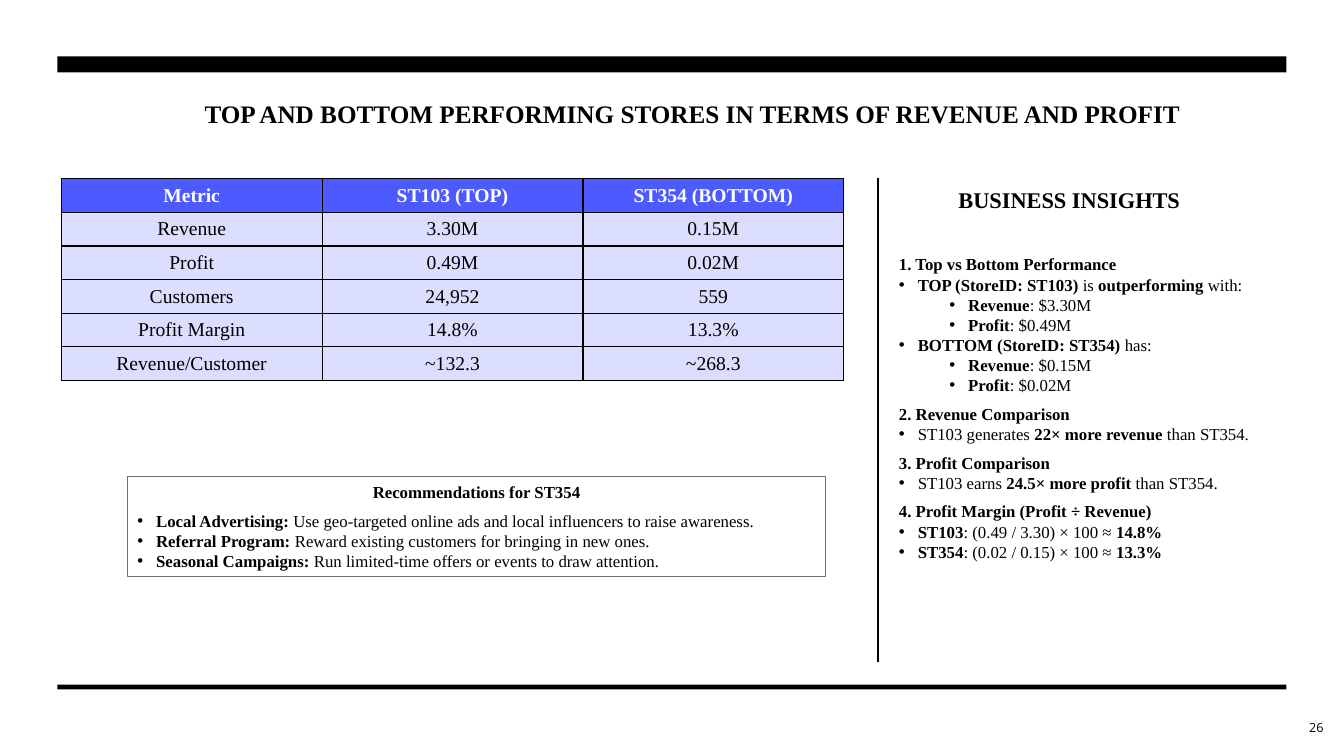
from lxml import etree
from pptx import Presentation
from pptx.dml.color import RGBColor
from pptx.enum.shapes import MSO_CONNECTOR, MSO_SHAPE
from pptx.enum.text import MSO_ANCHOR, PP_ALIGN
from pptx.oxml.ns import qn
from pptx.util import Pt

RECTANGLE = MSO_SHAPE.RECTANGLE
STRAIGHT = MSO_CONNECTOR.STRAIGHT
TOP, MIDDLE = MSO_ANCHOR.TOP, MSO_ANCHOR.MIDDLE
LEFT, CENTER, RIGHT = PP_ALIGN.LEFT, PP_ALIGN.CENTER, PP_ALIGN.RIGHT

COLORS = {
    "ink": "000000",
    "white": "FFFFFF",
    "header": "4D5AFF",
    "body": "DBDEFF",
    "frame": "6E6E6E",
}
SERIF, SANS = "Times New Roman", "Open Sans"
BULLET_HANG = 13.5
LEVEL_STEP = 36
LIST_LEADING = 14.4


def color(name):
    return RGBColor.from_string(COLORS[name])


def write(para, text, size=12, font=SERIF, ink="ink", align=LEFT,
          level=None, before=0, after=0, leading=None):
    """Fill a paragraph; **marks** enclose bold spans, a level adds a bullet."""
    para.alignment = align
    para.space_before, para.space_after = Pt(before), Pt(after)
    if leading:
        para.line_spacing = Pt(leading)
    for index, part in enumerate(text.split("**")):
        if part:
            span = para.add_run()
            span.text = part
            span.font.size, span.font.name = Pt(size), font
            span.font.bold = index % 2 == 1
            span.font.color.rgb = color(ink)
    if level is not None:
        para.level = level
        props = para._p.get_or_add_pPr()
        props.set("marL", str(Pt(BULLET_HANG + level * LEVEL_STEP)))
        props.set("indent", str(-Pt(BULLET_HANG)))
        etree.SubElement(props, qn("a:buFont")).set("typeface", "Arial")
        etree.SubElement(props, qn("a:buChar")).set("char", "•")


class SlideBuilder:
    def __init__(self, slide):
        self.shapes = slide.shapes

    def rectangle(self, left, top, width, height, fill=None, line=None):
        box = self.shapes.add_shape(RECTANGLE, Pt(left), Pt(top), Pt(width), Pt(height))
        box.shadow.inherit = False
        if fill:
            box.fill.solid()
            box.fill.fore_color.rgb = color(fill)
        else:
            box.fill.background()
        if line:
            box.line.color.rgb = color(line)
            box.line.width = Pt(0.75)
        else:
            box.line.fill.background()
        return box

    def rule(self, x, top, bottom):
        line = self.shapes.add_connector(STRAIGHT, Pt(x), Pt(top), Pt(x), Pt(bottom))
        line.line.color.rgb = color("ink")
        line.line.width = Pt(1.5)
        etree.SubElement(line._element.spPr, qn("a:effectLst"))

    def text(self, left, top, width, height, items, anchor=TOP, **style):
        box = self.shapes.add_textbox(Pt(left), Pt(top), Pt(width), Pt(height))
        self.fill_text(box, items, anchor, **style)

    def fill_text(self, box, items, anchor=TOP, **style):
        frame = box.text_frame
        frame.word_wrap = True
        frame.vertical_anchor = anchor
        for index, (text, extra) in enumerate(items):
            para = frame.add_paragraph() if index else frame.paragraphs[0]
            write(para, text, **{**style, **extra})

    def table(self, left, top, width, height, rows):
        columns = len(rows[0])
        table = self.shapes.add_table(
            len(rows), columns, Pt(left), Pt(top), Pt(width), Pt(height)).table
        for column in table.columns:
            column.width = Pt(width / columns)
        for r, row in enumerate(rows):
            table.rows[r].height = Pt(height / len(rows))
            for c, text in enumerate(row):
                cell = table.cell(r, c)
                cell.vertical_anchor = MIDDLE
                self.cell_borders(cell)
                cell.fill.solid()
                cell.fill.fore_color.rgb = color("body" if r else "header")
                write(cell.text_frame.paragraphs[0], text if r else f"**{text}**",
                      size=14, align=CENTER, ink="ink" if r else "white")

    def cell_borders(self, cell):
        props = cell._tc.get_or_add_tcPr()
        for side in ("a:lnL", "a:lnR", "a:lnT", "a:lnB"):
            line = etree.SubElement(props, qn(side), w=str(Pt(1)))
            fill = etree.SubElement(line, qn("a:solidFill"))
            etree.SubElement(fill, qn("a:srgbClr"), val=COLORS["ink"])


METRICS = [
    ("Metric", "ST103 (TOP)", "ST354 (BOTTOM)"),
    ("Revenue", "3.30M", "0.15M"),
    ("Profit", "0.49M", "0.02M"),
    ("Customers", "24,952", "559"),
    ("Profit Margin", "14.8%", "13.3%"),
    ("Revenue/Customer", "~132.3", "~268.3"),
]
SECTION, POINT, DETAIL = {"before": 6}, {"level": 0}, {"level": 1}
INSIGHTS = [
    ("**1. Top vs Bottom Performance**", {}),
    ("**TOP (StoreID: ST103)** is **outperforming** with:", POINT),
    ("**Revenue**: $3.30M", DETAIL),
    ("**Profit**: $0.49M", DETAIL),
    ("**BOTTOM (StoreID: ST354)** has:", POINT),
    ("**Revenue**: $0.15M", DETAIL),
    ("**Profit**: $0.02M", DETAIL),
    ("**2. Revenue Comparison**", SECTION),
    ("ST103 generates **22× more revenue** than ST354.", POINT),
    ("**3. Profit Comparison**", SECTION),
    ("ST103 earns **24.5× more profit** than ST354.", POINT),
    ("**4. Profit Margin (Profit ÷ Revenue)**", SECTION),
    ("**ST103**: (0.49 / 3.30) × 100 ≈ **14.8%**", POINT),
    ("**ST354**: (0.02 / 0.15) × 100 ≈ **13.3%**", POINT),
]
RECOMMENDATIONS = [
    ("**Recommendations for ST354**", {"align": CENTER, "after": 6}),
    ("**Local Advertising:** Use geo-targeted online ads and local influencers "
     "to raise awareness.", POINT),
    ("**Referral Program:** Reward existing customers for bringing in new ones.", POINT),
    ("**Seasonal Campaigns:** Run limited-time offers or events to draw attention.", POINT),
]


def main():
    deck = Presentation()
    deck.slide_width, deck.slide_height = Pt(960), Pt(540)
    page = SlideBuilder(deck.slides.add_slide(deck.slide_layouts[6]))

    # Page frame and number
    page.rectangle(41, 40.3, 878, 11.5, fill="ink")
    page.rectangle(41, 489, 878, 3.5, fill="ink")
    page.text(902, 505.5, 50.5, 28.8, [("26", {})], MIDDLE,
              size=9, font=SANS, align=RIGHT)

    # Title
    page.text(139, 67, 713.5, 29, [
        ("**TOP AND BOTTOM PERFORMING STORES IN TERMS OF REVENUE AND PROFIT**", {}),
    ], size=18)

    # Business insights column
    page.text(635, 178, 320, 229, INSIGHTS, leading=LIST_LEADING)
    page.rule(627, 127.5, 473)
    page.text(677.5, 129.6, 275, 26.6, [("**BUSINESS INSIGHTS**", {})], size=16)

    # Store comparison
    page.table(43.8, 127.6, 558.9, 144.3, METRICS)

    # Recommendations
    box = page.rectangle(91, 340.7, 499, 71.4, line="frame")
    page.fill_text(box, RECOMMENDATIONS, leading=LIST_LEADING)

    deck.save("out.pptx")


if __name__ == "__main__":
    main()
